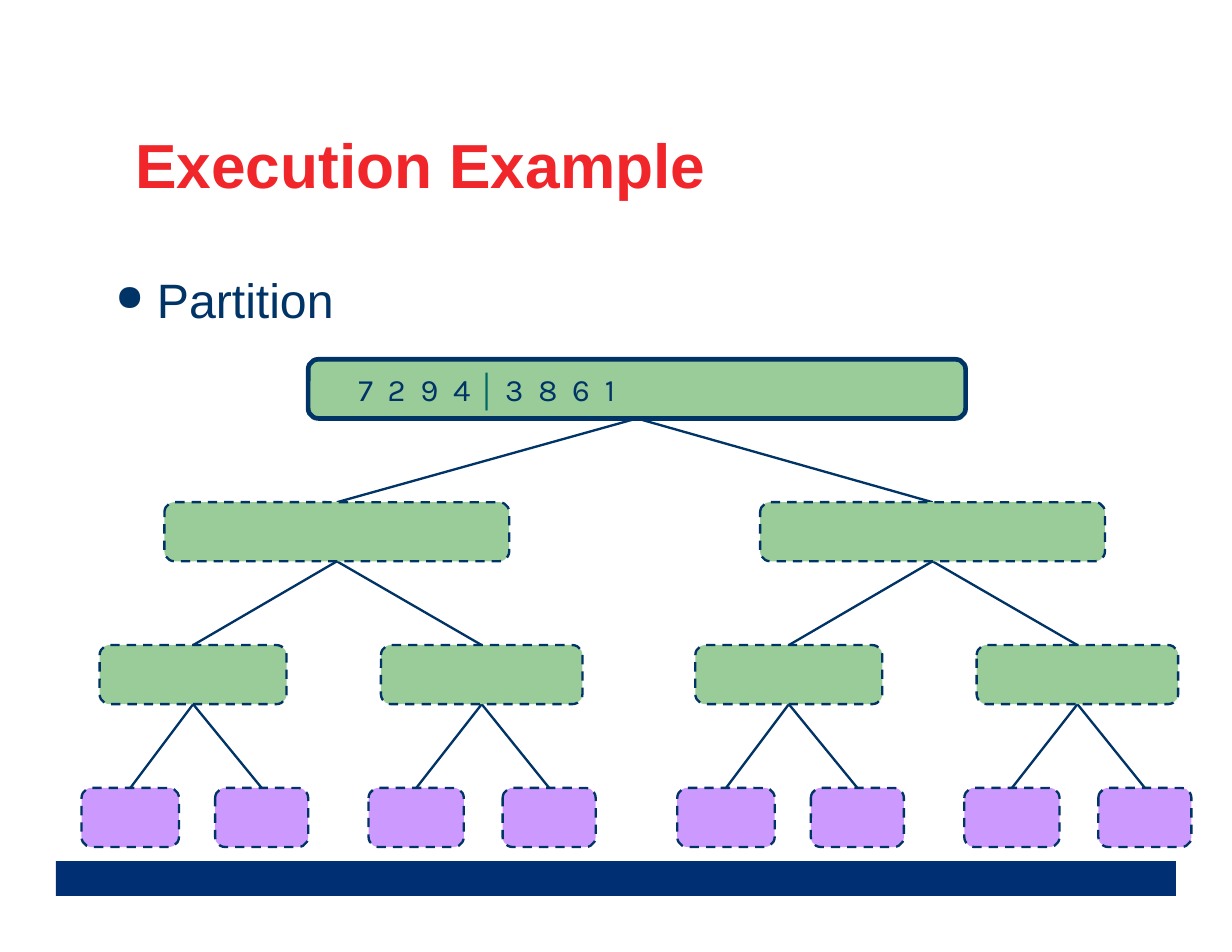
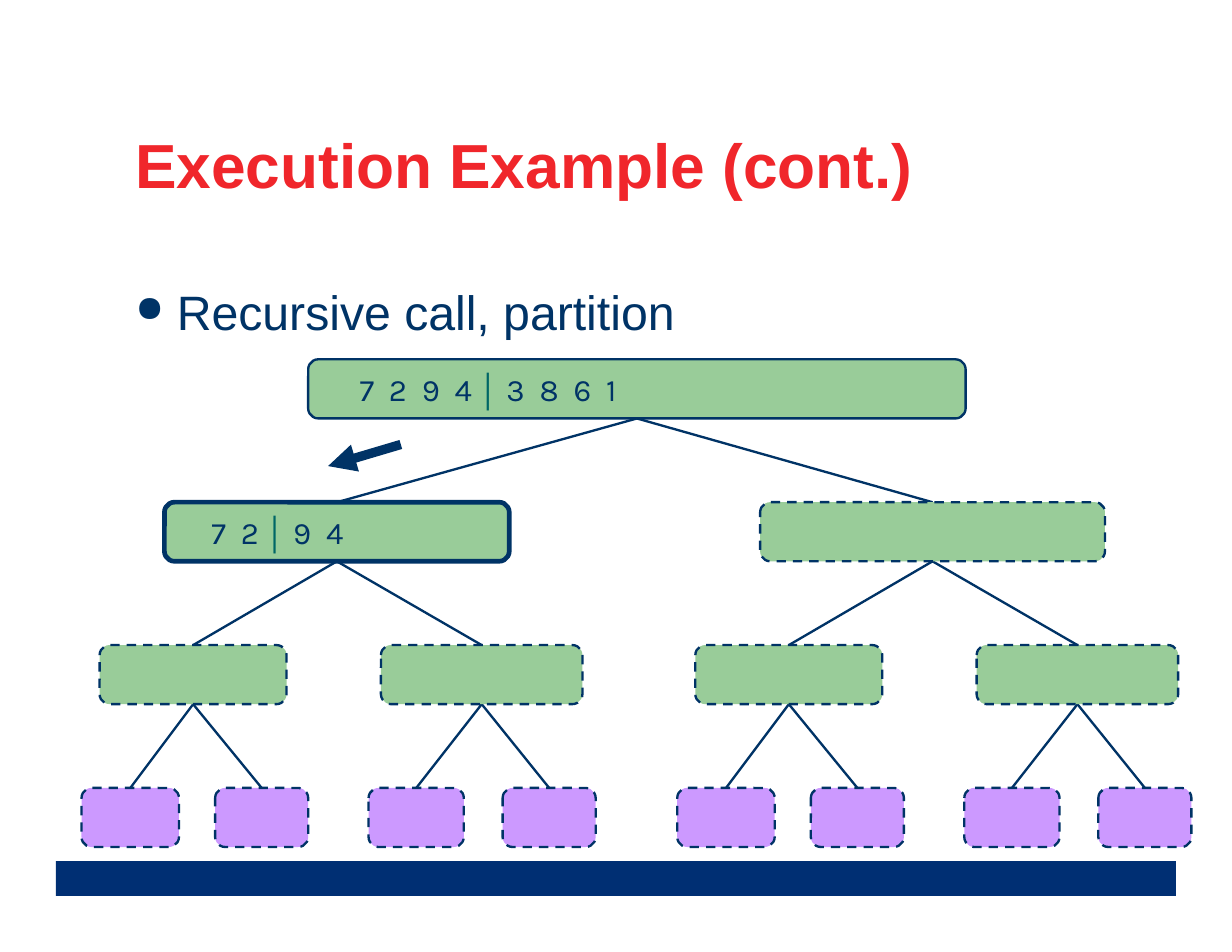
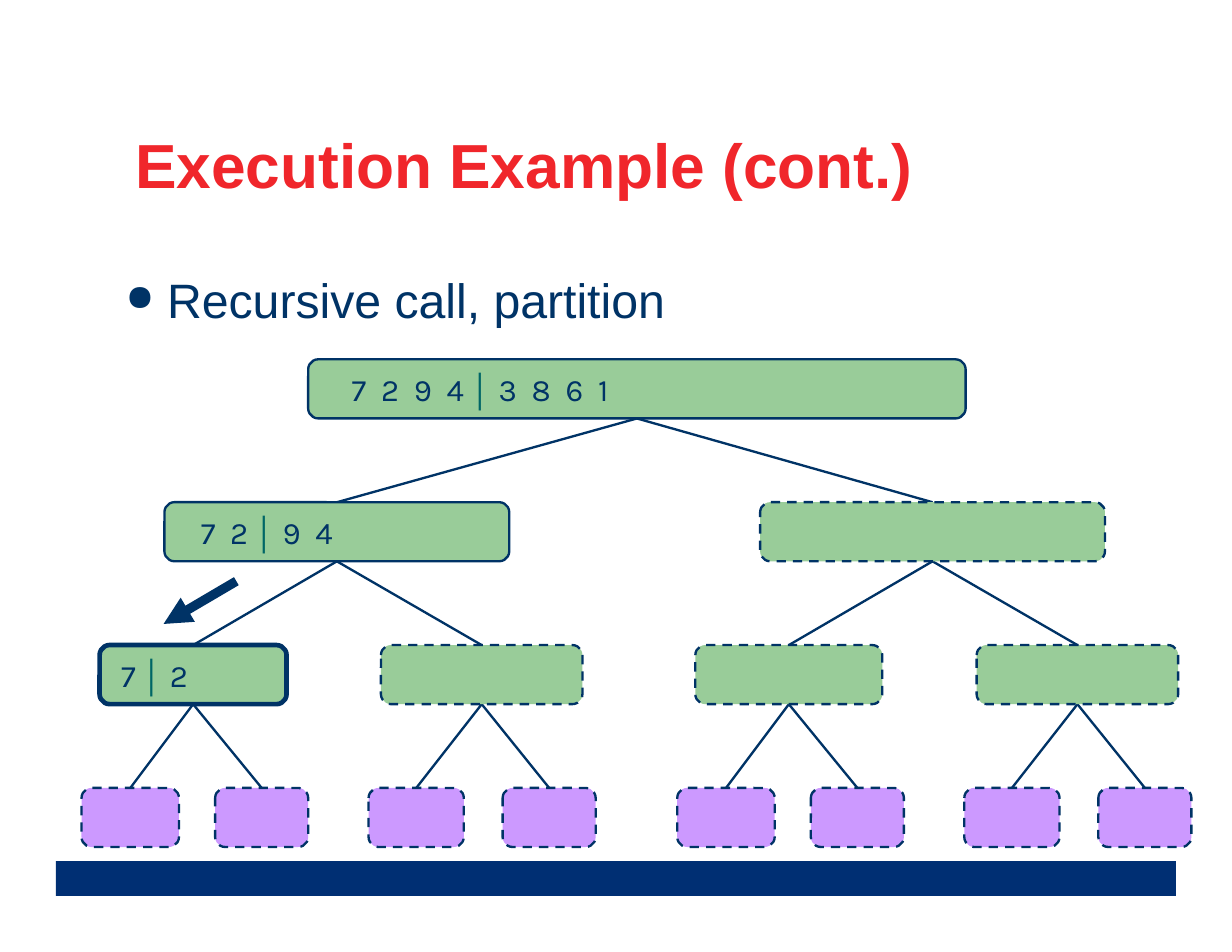
from dataclasses import dataclass, field
from typing import Optional

from lxml import etree
from pptx import Presentation
from pptx import util as u
from pptx.dml.color import RGBColor
from pptx.enum import dml, shapes, text
from pptx.oxml import ns

NAVY = RGBColor(0x00, 0x33, 0x66)
BLUE = RGBColor(0x00, 0x2F, 0x73)
RED = RGBColor(0xF0, 0x26, 0x2B)
TEAL = RGBColor(0x00, 0x66, 0x66)
GREEN = RGBColor(0x99, 0xCC, 0x99)
LILAC = RGBColor(0xCC, 0x99, 0xFF)

BAR = "│"
TOP, STEP, HIGH, SHIFT = 8.15, 3.24, 1.34, 13.51


@dataclass(frozen=True)
class Node:
    left: float
    top: float
    width: float
    fill: RGBColor

    @property
    def mid(self) -> float:
        return self.left + self.width / 2


@dataclass(frozen=True)
class Label:
    text: str
    inset: float
    thick: bool = False


@dataclass(frozen=True)
class Arrow:
    start: tuple[float, float]
    end: tuple[float, float]


@dataclass(frozen=True)
class Page:
    title: str
    point: str
    left: float
    top: float
    labels: dict[tuple[int, int], Label] = field(default_factory=dict)
    arrow: Optional[Arrow] = None


HALF = (
    ((3.73, 7.82),),
    ((2.26, 4.24), (8.64, 4.57)),
    ((1.85, 2.21), (4.88, 2.11), (8.36, 2.16), (11.4, 2.11)),
)
SPANS = [((6.99, 14.91),)] + [
    row + tuple((left + SHIFT, width) for left, width in row) for row in HALF
]
TREE = [
    [Node(left, TOP + STEP * depth, width, LILAC if depth == 3 else GREEN)
     for left, width in row]
    for depth, row in enumerate(SPANS)
]

ROOT = "7  2  9  4 │ 3  8  6  1"
PART = "7  2 │ 9  4"
PAGES = (
    Page("Execution Example", "Partition", 2.34, 5.99,
         {(0, 0): Label(ROOT, 1.07, True)}),
    Page("Execution Example (cont.)", "Recursive call, partition", 2.79, 6.25,
         {(0, 0): Label(ROOT, 1.1), (1, 0): Label(PART, 1, True)},
         Arrow((9.09, 10.08), (7.44, 10.57))),
    Page("Execution Example (cont.)", "Recursive call, partition", 2.57, 5.99,
         {(0, 0): Label(ROOT, 0.92), (1, 0): Label(PART, 0.76),
          (2, 0): Label("7 │ 2", 0.42, True)},
         Arrow((5.36, 13.18), (3.71, 14.15))),
)


def write(frame, words: str, *, size: float, font: str = "Arial",
          color: RGBColor = NAVY, bold: bool = False, inset: float = 0.28,
          anchor=text.MSO_ANCHOR.TOP, line: float = 1, before: float = 0,
          bullet: bool = False) -> None:
    frame.word_wrap = True
    frame.vertical_anchor = anchor
    frame.margin_left, frame.margin_right = u.Cm(inset), u.Cm(0.28)
    frame.margin_top = frame.margin_bottom = u.Cm(0.15)
    para = frame.paragraphs[0]
    para.alignment = text.PP_ALIGN.LEFT
    para.line_spacing, para.space_before = line, u.Pt(before)
    for piece in filter(None, words.partition(BAR)):
        run = para.add_run()
        run.text = piece
        rule = piece == BAR
        run.font.name = "Arial" if rule else font
        run.font.size = u.Pt(size)
        run.font.bold = bold or rule
        run.font.color.rgb = TEAL if rule else color
    if bullet:
        props = para._p.get_or_add_pPr()
        props.set("marL", str(u.Cm(0.94)))
        props.set("indent", str(-u.Cm(0.94)))
        tint = etree.SubElement(props, ns.qn("a:buClr"))
        etree.SubElement(tint, ns.qn("a:srgbClr"), val=str(color))
        etree.SubElement(props, ns.qn("a:buSzPct"), val="75000")
        etree.SubElement(props, ns.qn("a:buChar"), char="●")


def frame(slide, left: float, top: float, width: float, high: float):
    box = slide.shapes.add_textbox(*map(u.Cm, (left, top, width, high)))
    return box.text_frame


def draw_band(slide) -> None:
    band = slide.shapes.add_shape(
        shapes.MSO_SHAPE.RECTANGLE, *map(u.Cm, (1.27, 19.53, 25.4, 0.79)))
    band.shadow.inherit = False
    band.fill.solid()
    band.fill.fore_color.rgb = BLUE
    band.line.fill.background()


def draw_line(slide, start: tuple[float, float], end: tuple[float, float],
              width: float = 1.5, head: bool = False) -> None:
    link = slide.shapes.add_connector(
        shapes.MSO_CONNECTOR.STRAIGHT, *map(u.Cm, start + end))
    link.line.color.rgb = NAVY
    link.line.width = u.Pt(width)
    if head:
        etree.SubElement(link.line._get_or_add_ln(), ns.qn("a:tailEnd"),
                         type="triangle")
    etree.SubElement(link._element.spPr, ns.qn("a:effectLst"))


def draw_node(slide, node: Node, label: Optional[Label]) -> None:
    box = slide.shapes.add_shape(
        shapes.MSO_SHAPE.ROUNDED_RECTANGLE,
        *map(u.Cm, (node.left, node.top, node.width, HIGH)))
    box.shadow.inherit = False
    box.adjustments[0] = 0.17
    box.fill.solid()
    box.fill.fore_color.rgb = node.fill
    box.line.color.rgb = NAVY
    box.line.width = u.Pt(3 if label and label.thick else 1.5)
    if label:
        write(box.text_frame, label.text, size=20, font="Karla",
              inset=label.inset, anchor=text.MSO_ANCHOR.MIDDLE)
    else:
        box.line.dash_style = dml.MSO_LINE.DASH


def draw_tree(slide, labels: dict[tuple[int, int], Label]) -> None:
    for above, row in zip(TREE, TREE[1:]):
        for spot, node in enumerate(row):
            up = above[spot // 2]
            draw_line(slide, (node.mid, node.top), (up.mid, up.top + HIGH))
    for depth, row in enumerate(TREE):
        for spot, node in enumerate(row):
            draw_node(slide, node, labels.get((depth, spot)))


def draw_page(deck, page: Page) -> None:
    slide = deck.slides.add_slide(deck.slide_layouts[6])
    draw_band(slide)
    write(frame(slide, 2.79, 2.87, 24.43, 1.85), page.title, size=40,
          color=RED, bold=True, anchor=text.MSO_ANCHOR.BOTTOM, line=0.9)
    write(frame(slide, page.left, page.top, 23.75, 1.63), page.point, size=31,
          before=7.8, bullet=True)
    draw_tree(slide, page.labels)
    if page.arrow:
        draw_line(slide, page.arrow.start, page.arrow.end, 6, True)


def main() -> None:
    deck = Presentation()
    deck.slide_width, deck.slide_height = u.Cm(27.94), u.Cm(21.59)
    for page in PAGES:
        draw_page(deck, page)
    deck.save("out.pptx")


if __name__ == "__main__":
    main()
